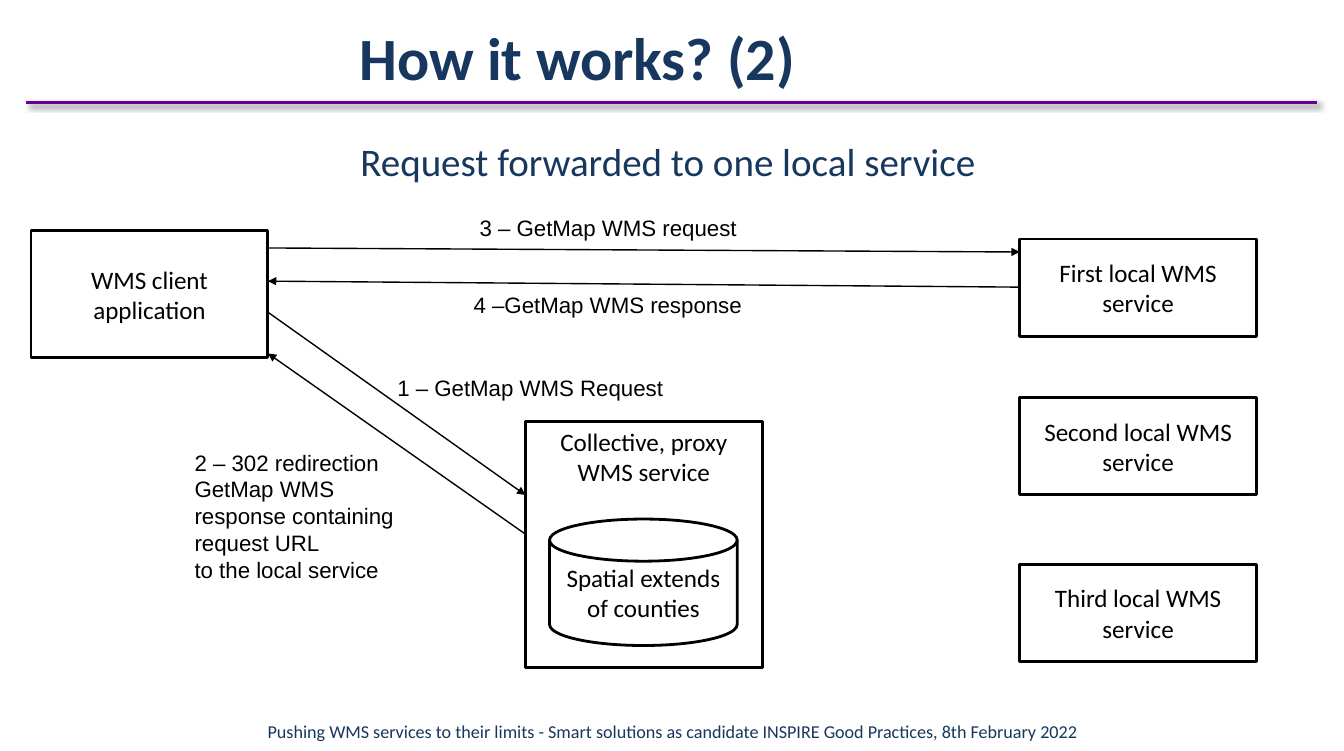
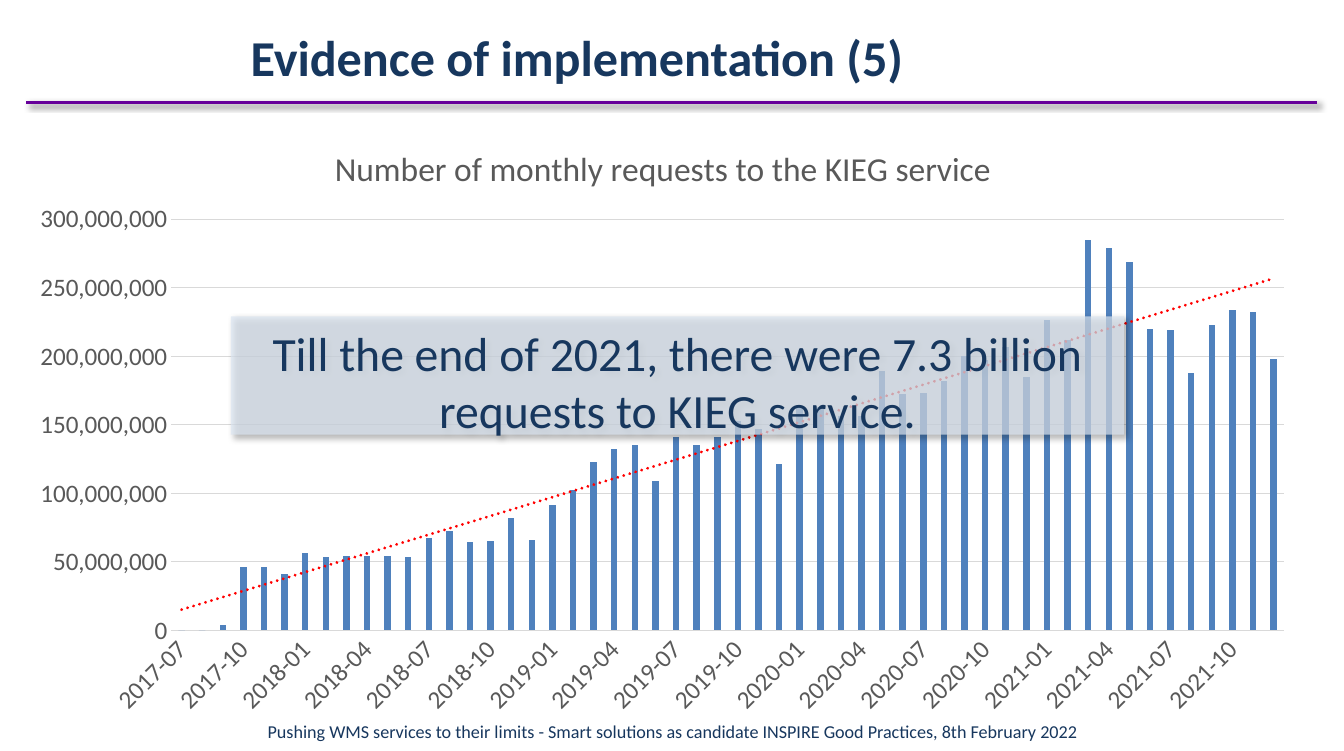
from dataclasses import dataclass

from lxml import etree
from pptx import Presentation
from pptx.chart.data import CategoryChartData
from pptx.dml.color import RGBColor
from pptx.enum.chart import XL_CHART_TYPE, XL_TICK_MARK
from pptx.enum.shapes import MSO_CONNECTOR, MSO_SHAPE
from pptx.enum.text import MSO_ANCHOR, MSO_AUTO_SIZE, PP_ALIGN
from pptx.oxml import parse_xml
from pptx.oxml.ns import nsdecls, qn
from pptx.util import Inches, Pt

COLUMNS = XL_CHART_TYPE.COLUMN_CLUSTERED
NO_TICKS = XL_TICK_MARK.NONE
STRAIGHT = MSO_CONNECTOR.STRAIGHT
RECTANGLE, DISK = MSO_SHAPE.RECTANGLE, MSO_SHAPE.FLOWCHART_MAGNETIC_DISK
TOP, MIDDLE = MSO_ANCHOR.TOP, MSO_ANCHOR.MIDDLE
NO_AUTOFIT, GROW = MSO_AUTO_SIZE.NONE, MSO_AUTO_SIZE.SHAPE_TO_FIT_TEXT
LEFT, CENTER = PP_ALIGN.LEFT, PP_ALIGN.CENTER

NAVY = RGBColor(0x17, 0x37, 0x5E)
PURPLE = RGBColor(0x66, 0x00, 0x99)
BLACK = RGBColor(0x00, 0x00, 0x00)
WHITE = RGBColor(0xFF, 0xFF, 0xFF)
PALE_BLUE = RGBColor(0xDC, 0xE6, 0xF2)
BAR_BLUE = RGBColor(0x4F, 0x81, 0xBD)
GREY = RGBColor(0x59, 0x59, 0x59)
GRID_GREY = RGBColor(0xD9, 0xD9, 0xD9)

HEADING_FONT, LABEL_FONT = "Calibri", "Arial"
FOOTER = ("Pushing WMS services to their limits - Smart solutions as candidate "
          "INSPIRE Good Practices, 8th February 2022")
WIDE_INSETS = dict(margin_left=Inches(0.13), margin_right=Inches(0.13),
                   margin_top=Inches(0.07), margin_bottom=Inches(0.07))

MONTHS = [f"{2017 + n // 12}-{n % 12 + 1:02}" for n in range(6, 60)]
MILLION_REQUESTS = [
    0, 0, 4, 46, 46, 41,
    56, 53, 54, 54, 54, 53, 67, 72, 64, 65, 82, 66,
    91, 102, 123, 132, 135, 109, 141, 135, 141, 153, 147, 121,
    162, 163, 156, 156, 189, 172, 173, 182, 200, 197, 207, 185,
    226, 212, 285, 279, 269, 220, 219, 188, 223, 234, 232, 198,
]


@dataclass
class Box:
    """A region in inches."""
    left: float
    top: float
    width: float
    height: float

    def inner(self, x, y, width, height):
        return Box(self.left + x, self.top + y, width, height)

    def point(self, x, y):
        return Inches(self.left + x), Inches(self.top + y)

    def emu(self):
        return [Inches(v) for v in (self.left, self.top, self.width, self.height)]


PAGE = Box(0, 0, 13.39, 7.48)
TITLE = PAGE.inner(2.27, 0.13, 6.96, 0.86)
SUBTITLE = PAGE.inner(0.63, 1.3, 12.05, 0.66)
DIAGRAM = PAGE.inner(0.31, 2.08, 12.21, 4.57)
CHART = PAGE.inner(0.16, 1.22, 12.89, 6.02)
CALLOUT = PAGE.inner(2.3, 3.15, 8.9, 1.18)
FOOTER_BAND = PAGE.inner(0, 7.08, 13.39, 0.4)


def assign(target, values):
    for name, value in values.items():
        setattr(target, name, value)


def move(shape, box):
    assign(shape, dict(zip(("left", "top", "width", "height"), box.emu())))


def style_font(font, size, color=BLACK, name=HEADING_FONT, bold=False):
    assign(font, dict(size=Pt(size), name=name, bold=bold))
    font.color.rgb = color


def write(shape, lines, size, align=CENTER, frame=None, **font):
    text_frame = shape.text_frame
    assign(text_frame, dict(word_wrap=True, auto_size=NO_AUTOFIT) | (frame or {}))
    text_frame.text = lines
    for paragraph in text_frame.paragraphs:
        assign(paragraph, dict(alignment=align, space_before=Pt(0)))
        style_font(paragraph.runs[0].font, size, **font)


def write_body(body, text, size, box):
    """Fill the body placeholder as one centred paragraph without a bullet."""
    move(body, box)
    write(body, text, size, color=NAVY, frame=dict(vertical_anchor=TOP) | WIDE_INSETS)
    properties = body.text_frame.paragraphs[0]._p.get_or_add_pPr()
    properties.set("marL", "0")
    properties.set("indent", "0")
    properties.append(parse_xml(f'<a:buNone {nsdecls("a")}/>'))


def set_effect(shape, shadow=False):
    """Give the shape a soft drop shadow, or none at all."""
    effects = etree.SubElement(shape._element.spPr, qn("a:effectLst"))
    if shadow:
        effects.append(parse_xml(
            f'<a:outerShdw {nsdecls("a")} blurRad="{Pt(4)}" dist="{Pt(3)}" '
            'dir="2700000" algn="tl" rotWithShape="0"><a:srgbClr val="000000">'
            '<a:alpha val="40000"/></a:srgbClr></a:outerShdw>'))


def add_line(slide, start, end, color, width, shadow=False):
    line = slide.shapes.add_connector(STRAIGHT, *start, *end)
    line.line.color.rgb = color
    line.line.width = Pt(width)
    set_effect(line, shadow)
    return line


def add_arrow(slide, start, end):
    arrow = add_line(slide, start, end, BLACK, 1)
    arrow.line._get_or_add_ln().append(
        parse_xml(f'<a:tailEnd {nsdecls("a")} type="triangle"/>'))


def add_node(slide, box, text, preset=RECTANGLE, anchor=MIDDLE):
    node = slide.shapes.add_shape(preset, *box.emu())
    node.shadow.inherit = False
    node.fill.solid()
    node.fill.fore_color.rgb = WHITE
    node.line.color.rgb = BLACK
    node.line.width = Pt(2)
    write(node, text, 18, frame=dict(vertical_anchor=anchor))


def add_footer(slide, box):
    footer = slide.shapes.add_textbox(*box.emu())
    write(footer, FOOTER, 13, color=NAVY,
          frame=dict(vertical_anchor=MIDDLE) | WIDE_INSETS)


def add_titled_slide(prs, title, size):
    slide = prs.slides.add_slide(prs.slide_layouts[1])
    write(slide.shapes.title, title, size, color=NAVY, bold=True,
          frame=dict(vertical_anchor=MIDDLE) | WIDE_INSETS)
    return slide


def add_title_rule(slide, master):
    """Draw the line below the title and hand it to the master."""
    rule = add_line(slide, PAGE.point(0.26, 1.02), PAGE.point(13.12, 1.02),
                    PURPLE, 2.5, shadow=True)
    master.shapes._spTree.append(rule._element)


def add_request_flow(slide, box):
    node_width = 2.36
    client_x, proxy_x, local_x = [n * (box.width - node_width) / 2 for n in range(3)]
    client_edge = client_x + node_width

    add_node(slide, box.inner(client_x, 0.22, node_width, 1.26), "WMS client application")
    proxy = box.inner(proxy_x, 2.12, node_width, 2.45)
    add_node(slide, proxy, "Collective, proxy WMS service", anchor=TOP)
    add_node(slide, proxy.inner(0.24, 0.97, 1.87, 1.26),
             "Spatial extends of counties", DISK)
    for name, y in (("First", 0.3), ("Second", 1.88), ("Third", 3.54)):
        add_node(slide, box.inner(local_x, y, node_width, 0.97),
                 f"{name} local WMS service")

    for start, end in (
        ((client_edge, 1.03), (proxy_x, 2.85)),
        ((proxy_x, 3.24), (client_edge, 1.44)),
        ((client_edge, 0.39), (local_x, 0.43)),
        ((local_x, 0.78), (client_edge, 0.72)),
    ):
        add_arrow(slide, box.point(*start), box.point(*end))

    redirection = "\n".join(("2 – 302 redirection", "GetMap WMS", "response containing",
                             "request URL", "to the local service"))
    for text, place, wrap in (
        ("1 – GetMap WMS Request", (3.55, 1.6, 2.89, 0.37), False),
        (redirection, (1.53, 2.34, 2.27, 1.45), False),
        ("3 – GetMap WMS request", (4.37, 0, 2.8, 0.37), False),
        ("4 –GetMap WMS response", (4.31, 0.77, 3.42, 0.37), True),
    ):
        label = slide.shapes.add_textbox(*box.inner(*place).emu())
        write(label, text, 16, align=LEFT, name=LABEL_FONT,
              frame=dict(word_wrap=wrap, auto_size=GROW))


def set_plot_area(chart, **shares):
    """Fix the inner plot area as shares of the chart."""
    extents = "".join(f'<c:{key} val="{value}"/>' for key, value in shares.items())
    plot_area = chart._chartSpace.chart.plotArea
    for layout in plot_area.findall(qn("c:layout")):
        plot_area.remove(layout)
    plot_area.insert(0, parse_xml(
        f'<c:layout {nsdecls("c")}><c:manualLayout><c:layoutTarget val="inner"/>'
        f'<c:xMode val="edge"/><c:yMode val="edge"/>{extents}</c:manualLayout></c:layout>'))


def add_trend_line(series):
    series._element.find(qn("c:cat")).addprevious(parse_xml(
        f'<c:trendline {nsdecls("c", "a")}><c:spPr><a:ln w="{Pt(2.25)}" cap="rnd">'
        '<a:solidFill><a:srgbClr val="FF0000"/></a:solidFill>'
        '<a:prstDash val="sysDot"/></a:ln></c:spPr><c:trendlineType val="linear"/>'
        '<c:dispRSqr val="0"/><c:dispEq val="0"/></c:trendline>'))


def add_requests_chart(slide, box):
    data = CategoryChartData(number_format="#,##0")
    data.categories = MONTHS
    data.add_series("Series 1", [n * 1_000_000 for n in MILLION_REQUESTS])
    chart = slide.shapes.add_chart(COLUMNS, *box.emu(), data).chart
    chart.has_legend = False
    style_font(chart.font, 10)

    chart.has_title = True
    heading = chart.chart_title.text_frame
    heading.text = "Number of monthly requests to the KIEG service"
    style_font(heading.paragraphs[0].runs[0].font, 24, GREY)

    plot = chart.plots[0]
    assign(plot, dict(gap_width=219, overlap=-27, vary_by_categories=False))
    requests = plot.series[0]
    requests.format.fill.solid()
    requests.format.fill.fore_color.rgb = BAR_BLUE
    add_trend_line(requests)

    months, counts = chart.category_axis, chart.value_axis
    for axis in (months, counts):
        assign(axis, dict(major_tick_mark=NO_TICKS, minor_tick_mark=NO_TICKS))
        style_font(axis.tick_labels.font, 18, GREY)
    assign(counts, dict(minimum_scale=0, maximum_scale=300_000_000,
                        major_unit=50_000_000, has_major_gridlines=True))
    assign(counts.tick_labels, dict(number_format="#,##0", number_format_is_linked=False))
    counts.format.line.fill.background()
    for line in (months.format.line, counts.major_gridlines.format.line):
        line.color.rgb = GRID_GREY
        line.width = Pt(0.75)
    months._element.find(qn("c:txPr")).find(qn("a:bodyPr")).set("rot", "-2700000")
    months._element.find(qn("c:noMultiLvlLbl")).addprevious(
        parse_xml(f'<c:tickLblSkip {nsdecls("c")} val="3"/>'))
    set_plot_area(chart, x=0.12, y=0.16, w=0.86, h=0.68)


def add_callout(slide, box):
    callout = slide.placeholders[1]
    write_body(callout, "Till the end of 2021, there were 7.3 billion requests "
                        "to KIEG service.", 34.2, box)
    callout.fill.solid()
    callout.fill.fore_color.rgb = PALE_BLUE
    tint = callout._element.spPr.find(".//" + qn("a:srgbClr"))
    etree.SubElement(tint, qn("a:alpha")).set("val", "70000")
    set_effect(callout, shadow=True)
    slide.shapes._spTree.append(callout._element)


def build_flow_slide(prs):
    slide = add_titled_slide(prs, "How it works? (2)", 43)
    add_title_rule(slide, prs.slide_master)
    write_body(slide.placeholders[1], "Request forwarded to one local service",
               28, SUBTITLE)
    add_request_flow(slide, DIAGRAM)
    add_footer(slide, FOOTER_BAND)


def build_evidence_slide(prs):
    slide = add_titled_slide(prs, "Evidence of implementation (5)", 36)
    add_requests_chart(slide, CHART)
    add_callout(slide, CALLOUT)
    add_footer(slide, FOOTER_BAND)


def main():
    prs = Presentation()
    prs.slide_width, prs.slide_height = Inches(PAGE.width), Inches(PAGE.height)
    move(prs.slide_layouts[1].placeholders[0], TITLE)
    build_flow_slide(prs)
    build_evidence_slide(prs)
    prs.save("out.pptx")


if __name__ == "__main__":
    main()
